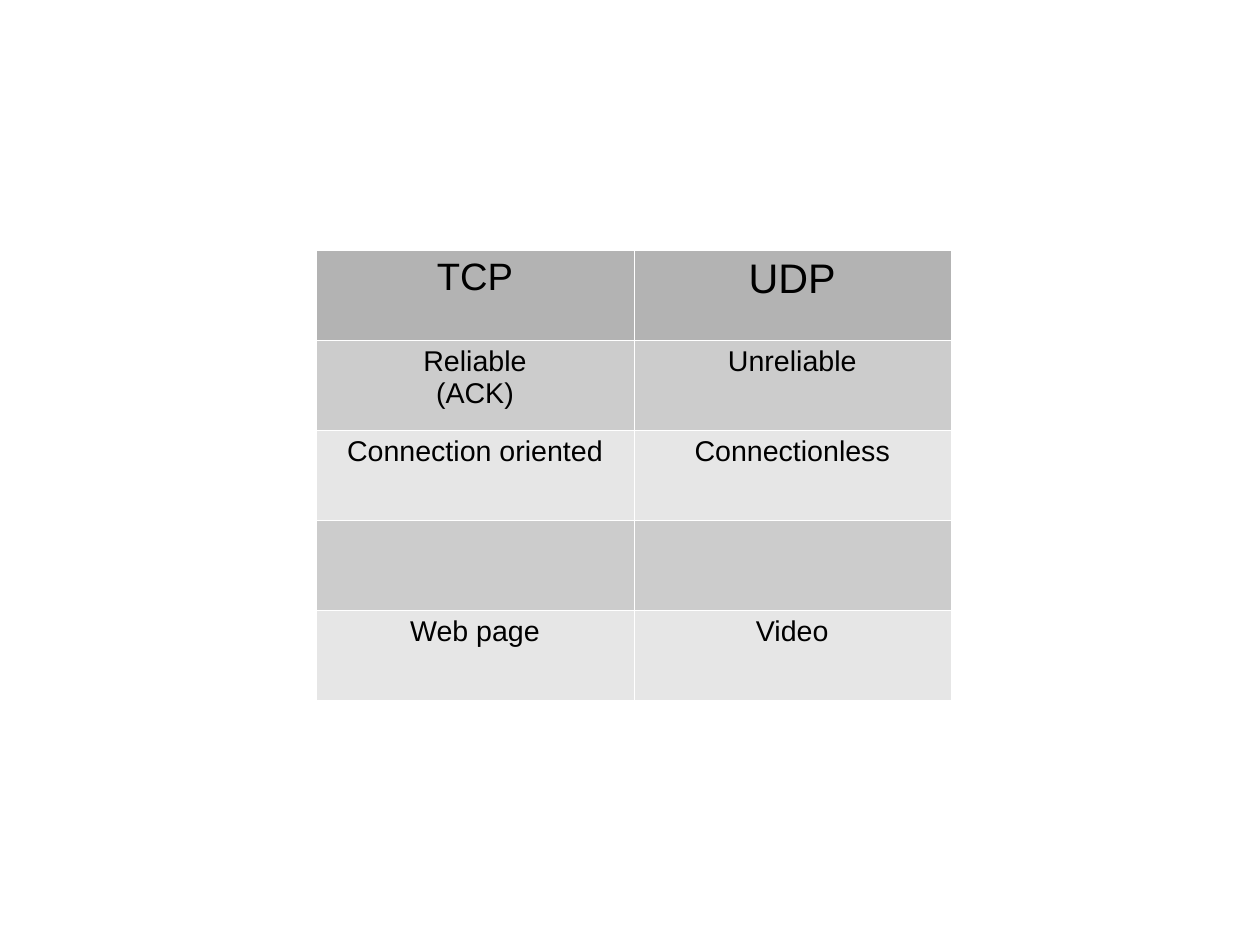
import pptx
import pptx.dml.color
import pptx.enum.text
import pptx.oxml.ns
import pptx.util
from lxml import etree
from pptx.util import Inches

BLACK = pptx.dml.color.RGBColor(0x00, 0x00, 0x00)
HEADER_GRAY = pptx.dml.color.RGBColor(0xB3, 0xB3, 0xB3)
ROW_GRAYS = (
    pptx.dml.color.RGBColor(0xCC, 0xCC, 0xCC),
    pptx.dml.color.RGBColor(0xE6, 0xE6, 0xE6),
)
WHITE = pptx.dml.color.RGBColor(0xFF, 0xFF, 0xFF)
FONT = "Arial"
BORDER_WIDTH = pptx.util.Pt(0.06)
CM_PER_INCH = 2.54

HEADER_SIZES = (24, 26)
PROTOCOL_ROWS = [
    ("TCP", "UDP"),
    ("Reliable\n(ACK)", "Unreliable"),
    ("Connection oriented", "Connectionless"),
    ("", ""),
    ("Web page", "Video"),
]


def write_text(text_frame, text, size=18, color=BLACK):
    """Write one centred paragraph for each line of the text."""
    text_frame.text = text
    for paragraph in text_frame.paragraphs:
        paragraph.alignment = pptx.enum.text.PP_ALIGN.CENTER
        for run in paragraph.runs:
            run.font.name = FONT
            run.font.size = pptx.util.Pt(size)
            run.font.color.rgb = color


def add_borders(cell, color=WHITE):
    """Line all four sides; call before the fill, which must follow in the XML."""
    properties = cell._tc.get_or_add_tcPr()
    for side in ("a:lnL", "a:lnR", "a:lnT", "a:lnB"):
        line = etree.SubElement(
            properties, pptx.oxml.ns.qn(side), w=str(int(BORDER_WIDTH))
        )
        fill = etree.SubElement(line, pptx.oxml.ns.qn("a:solidFill"))
        etree.SubElement(fill, pptx.oxml.ns.qn("a:srgbClr"), val=str(color))


def add_protocol_table(slide, left, top, width, height):
    shape = slide.shapes.add_table(
        len(PROTOCOL_ROWS), len(PROTOCOL_ROWS[0]), left, top, width, height
    )
    table = shape.table
    for row_index, row in enumerate(PROTOCOL_ROWS):
        is_header = row_index == 0
        row_color = HEADER_GRAY if is_header else ROW_GRAYS[(row_index - 1) % 2]
        for column_index, text in enumerate(row):
            cell = table.cell(row_index, column_index)
            if text:
                size = HEADER_SIZES[column_index] if is_header else 18
                write_text(cell.text_frame, text, size=size)
            add_borders(cell)
            cell.fill.solid()
            cell.fill.fore_color.rgb = row_color


def main():
    presentation = pptx.Presentation()
    presentation.slide_width = Inches(28 / CM_PER_INCH)
    presentation.slide_height = Inches(21 / CM_PER_INCH)
    blank_layout = presentation.slide_layouts.get_by_name("Blank")
    slide = presentation.slides.add_slide(blank_layout)
    add_protocol_table(
        slide,
        left=Inches(7.03 / CM_PER_INCH),
        top=Inches(5.56 / CM_PER_INCH),
        width=Inches(14.1 / CM_PER_INCH),
        height=Inches(10 / CM_PER_INCH),
    )
    presentation.save("out.pptx")


if __name__ == "__main__":
    main()
